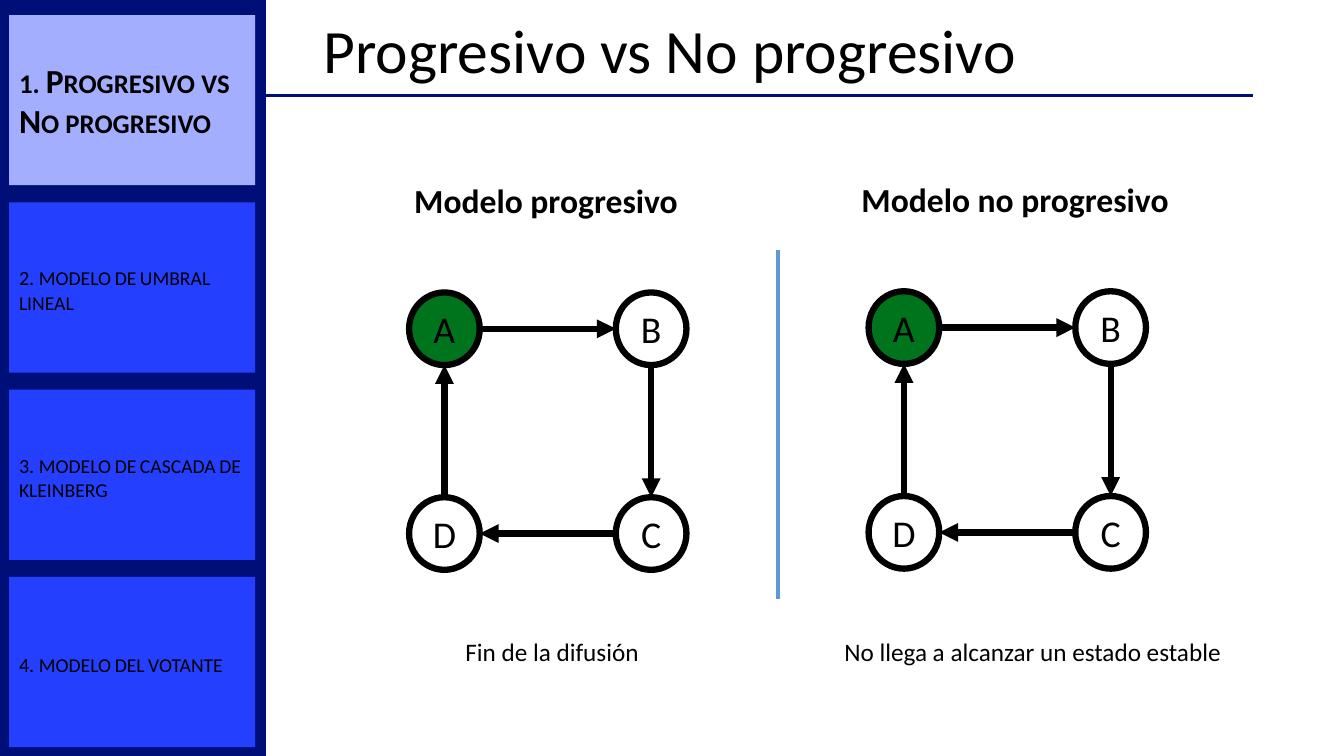
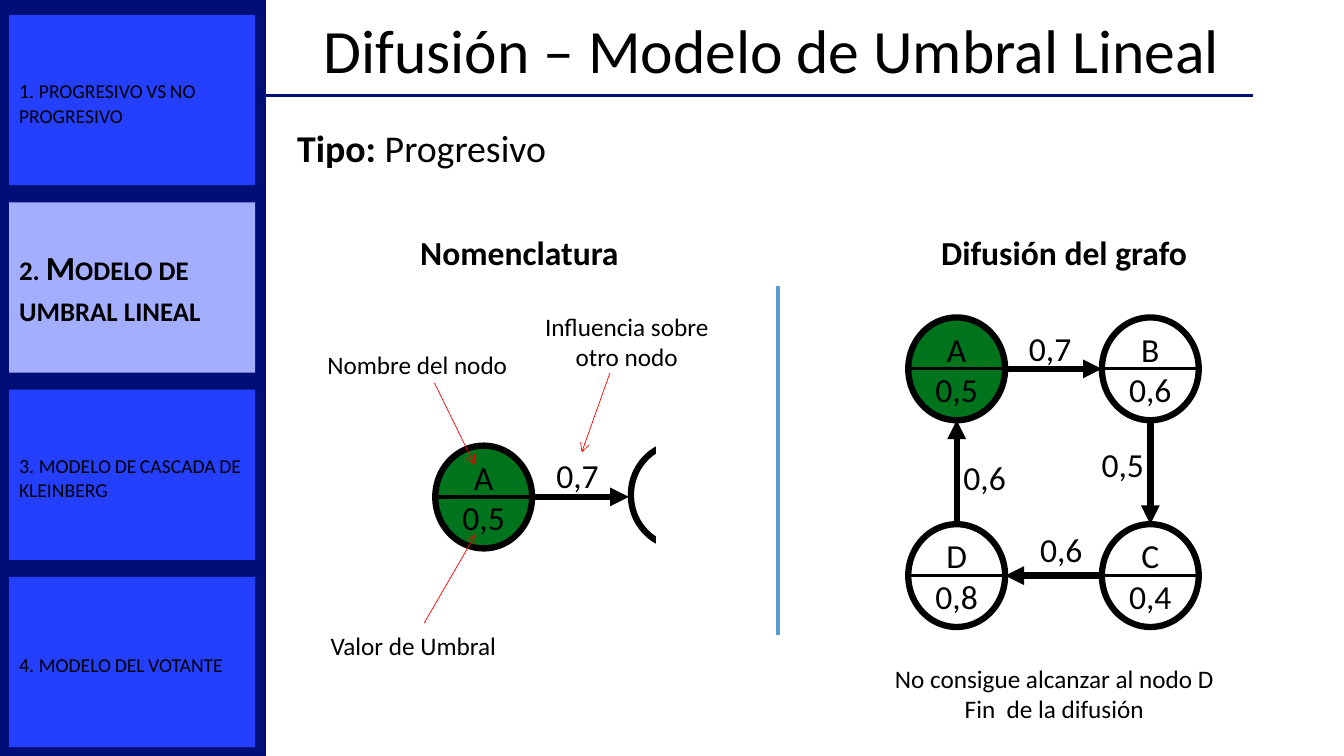
import dataclasses
import typing

import lxml.etree
import pptx
import pptx.dml.color
import pptx.enum.shapes
import pptx.enum.text
import pptx.oxml.ns
import pptx.util

Cm = pptx.util.Cm
Pt = pptx.util.Pt
Align = pptx.enum.text.PP_ALIGN
Form = pptx.enum.shapes.MSO_SHAPE
qn = pptx.oxml.ns.qn

FONT = "Calibri"
BLACK, WHITE, RED = "000000", "FFFFFF", "FF0000"
NAVY, BLUE, PALE, SKY = "000E77", "253FFF", "A3AEFF", "5B9BD5"
GREEN = "00741C"
MENU = (
    "1. Progresivo vs No progresivo",
    "2. Modelo de umbral lineal",
    "3. Modelo de cascada de Kleinberg",
    "4. Modelo del votante",
)
SPOTS = ((0, 0), (1, 0), (1, 1), (0, 1))


@dataclasses.dataclass
class Box:
    x: float
    y: float
    w: float
    h: float


@dataclasses.dataclass
class Note:
    text: str
    box: Box
    size: float = 18
    bold: bool = False
    wrap: bool = False
    align: Align = Align.LEFT


@dataclasses.dataclass
class Line:
    x1: float
    y1: float
    x2: float
    y2: float
    color: str = BLACK
    width: float = 4.5
    tip: str = ""


@dataclasses.dataclass
class Graph:
    x: float
    y: float
    w: float
    h: float
    dx: float
    dy: float
    size: float
    names: tuple[str, ...]
    split: bool = False


def tint(code: str) -> pptx.dml.color.RGBColor:
    return pptx.dml.color.RGBColor.from_string(code)


def style(para: typing.Any, size: float, bold: bool = False, align: Align = Align.LEFT) -> None:
    para.alignment = align
    para.font.name = FONT
    para.font.size = Pt(size)
    para.font.bold = bold
    para.font.color.rgb = tint(BLACK)


def shape(slide: typing.Any, form: Form, box: Box, fill: str = "", edge: str = "", width: float = 0) -> typing.Any:
    item = slide.shapes.add_shape(form, Cm(box.x), Cm(box.y), Cm(box.w), Cm(box.h))
    item.shadow.inherit = False
    if fill:
        item.fill.solid()
        item.fill.fore_color.rgb = tint(fill)
    else:
        item.fill.background()
    if edge:
        item.line.color.rgb = tint(edge)
        item.line.width = Pt(width)
    else:
        item.line.fill.background()
    return item


def draw(slide: typing.Any, line: Line) -> typing.Any:
    item = slide.shapes.add_connector(
        pptx.enum.shapes.MSO_CONNECTOR.STRAIGHT,
        Cm(line.x1), Cm(line.y1), Cm(line.x2), Cm(line.y2))
    item.line.color.rgb = tint(line.color)
    item.line.width = Pt(line.width)
    if line.tip:
        lxml.etree.SubElement(item.line._get_or_add_ln(), qn("a:tailEnd"), type=line.tip)
    lxml.etree.SubElement(item.element.spPr, qn("a:effectLst"))
    return item


def fill_text(frame: typing.Any, text: str, size: float, bold: bool, align: Align) -> None:
    frame.text = text
    for para in frame.paragraphs:
        style(para, size, bold, align)


def write(slide: typing.Any, note: Note) -> typing.Any:
    box = note.box
    item = slide.shapes.add_textbox(Cm(box.x), Cm(box.y), Cm(box.w), Cm(box.h))
    frame = item.text_frame
    frame.word_wrap = note.wrap
    frame.auto_size = pptx.enum.text.MSO_AUTO_SIZE.SHAPE_TO_FIT_TEXT
    fill_text(frame, note.text, note.size, note.bold, note.align)
    return item


def node(slide: typing.Any, box: Box, text: str, size: float, fill: str, split: bool) -> None:
    item = shape(slide, Form.OVAL, box, fill, BLACK, 4.5)
    fill_text(item.text_frame, text, size, False, Align.CENTER)
    if split:
        mid = box.y + box.h / 2
        draw(slide, Line(box.x, mid, box.x + box.w, mid, width=2.25))


def plot(slide: typing.Any, graph: Graph) -> None:
    for turn, (col, row) in enumerate(SPOTS):
        box = Box(graph.x + col * graph.dx, graph.y + row * graph.dy, graph.w, graph.h)
        node(slide, box, graph.names[turn], graph.size, "" if turn else GREEN, graph.split)
        to_col, to_row = SPOTS[(turn + 1) % len(SPOTS)]
        right, down = to_col - col, to_row - row
        x, y = box.x + graph.w / 2, box.y + graph.h / 2
        gap_x, gap_y = right * graph.w / 2, down * graph.h / 2
        draw(slide, Line(x + gap_x, y + gap_y, x + right * graph.dx - gap_x,
                         y + down * graph.dy - gap_y, tip="triangle"))


def add_menu(slide: typing.Any, live: int) -> None:
    for turn, label in enumerate(MENU):
        on = turn == live
        item = shape(slide, Form.RECTANGLE, Box(0.23, 0.38 + 4.72 * turn, 6.2, 4.29), PALE if on else BLUE)
        para = item.text_frame.paragraphs[0]
        style(para, 24 if on else 14, on)
        parts = [(label, 24)] if on else [(label[:3], 18), (label[3:].upper(), 14)]
        for text, size in parts:
            run = para.add_run()
            run.text = text
            run.font.size = Pt(size)
            run._r.get_or_add_rPr().set("cap", "small")


def start(deck: typing.Any, title: str, live: int) -> typing.Any:
    slide = deck.slides.add_slide(deck.slide_layouts[5])
    head = slide.shapes.title
    fill_text(head.text_frame, title, 44, False, Align.LEFT)
    head.text_frame.paragraphs[0].line_spacing = 0.9
    add_menu(slide, live)
    return slide


def set_frame(deck: typing.Any, slide: typing.Any) -> None:
    layout = deck.slide_layouts[5]
    head = layout.placeholders[0]
    head.left, head.top, head.width, head.height = Cm(7.9), Cm(0), Cm(24.05), Cm(2.69)
    band = shape(slide, Form.RECTANGLE, Box(0, 0, 6.7, 19.05), NAVY)
    rule = draw(slide, Line(6.65, 2.41, 31.57, 2.41, NAVY, 2.25))
    for spot, item in enumerate((band, rule)):
        layout.shapes.element.insert(2 + spot, item.element)


def split_at(slide: typing.Any, top: float) -> None:
    draw(slide, Line(19.61, top, 19.61, top + 8.8, SKY, 3))


def add_types(deck: typing.Any) -> None:
    slide = start(deck, "Progresivo vs No progresivo", 0)
    set_frame(deck, slide)
    for x, y in ((10.31, 7.37), (21.89, 7.34)):
        plot(slide, Graph(x, y, 1.78, 1.83, 5.21, 5.16, 27, ("A", "B", "C", "D")))
    split_at(slide, 6.3)
    for note in (
        Note("Modelo progresivo", Box(10.19, 4.42, 7.21, 1.27), 24, True),
        Note("Modelo no progresivo", Box(21.46, 4.39, 8.33, 1.27), 24, True),
        Note("Fin de la difusión", Box(11.48, 15.9, 4.93, 1.02)),
        Note("No llega a alcanzar un estado estable", Box(21.03, 15.9, 10.11, 1.02)),
    ):
        write(slide, note)


def add_spread(deck: typing.Any) -> None:
    slide = start(deck, "Difusión – Modelo de Umbral Lineal", 1)
    names = ("A\n0,5", "B\n0,6", "C\n0,4", "D\n0,8")
    plot(slide, Graph(22.89, 8, 2.44, 2.59, 4.88, 5.21, 24, names, True))
    node(slide, Box(10.97, 11.23, 2.44, 2.59), names[0], 24, GREEN, True)
    shape(slide, Form.OVAL, Box(15.9, 11.18, 2.44, 2.59), "", BLACK, 4.5)
    shape(slide, Form.RECTANGLE, Box(16.56, 10.62, 3.2, 3.56), WHITE, WHITE, 1)
    draw(slide, Line(13.41, 12.52, 15.85, 12.52, tip="triangle"))
    for ends in (
        (10.95, 9.65, 11.96, 11.71),
        (15.37, 9.4, 14.66, 11.4),
        (10.69, 15.7, 11.99, 13.46),
    ):
        draw(slide, Line(*ends, RED, 0.5, "arrow"))
    for text, x, y in (
        ("0,7", 25.68, 8.13),
        ("0,5", 27.51, 11.07),
        ("0,6", 25.96, 13.21),
        ("0,6", 24.03, 11.38),
        ("0,7", 13.77, 11.35),
    ):
        write(slide, Note(text, Box(x, y, 1.83, 1.3), 24, wrap=True))
    for note in (
        Note("No consigue alcanzar al nodo D\nFin  de la difusión",
             Box(22.25, 16.59, 8.64, 1.8), align=Align.CENTER),
        Note("Influencia sobre otro nodo", Box(13.13, 7.72, 5.33, 1.8), wrap=True, align=Align.CENTER),
        Note("Nombre del nodo", Box(8, 8.69, 5.33, 1.02), wrap=True),
        Note("Valor de Umbral", Box(8.08, 15.75, 5.33, 1.02), wrap=True),
        Note("Nomenclatura", Box(10.34, 5.72, 5.56, 1.27), 24, True),
        Note("Difusión del grafo", Box(23.47, 5.72, 6.76, 1.27), 24, True),
    ):
        write(slide, note)
    kind = write(slide, Note("Tipo: ", Box(7.24, 3.02, 6.86, 1.42), 27, True))
    run = kind.text_frame.paragraphs[0].add_run()
    run.text = "Progresivo"
    run.font.bold = False
    split_at(slide, 7.21)


def main() -> None:
    deck = pptx.Presentation()
    deck.slide_width, deck.slide_height = Cm(33.87), Cm(19.05)
    add_types(deck)
    add_spread(deck)
    deck.save("out.pptx")


main()
